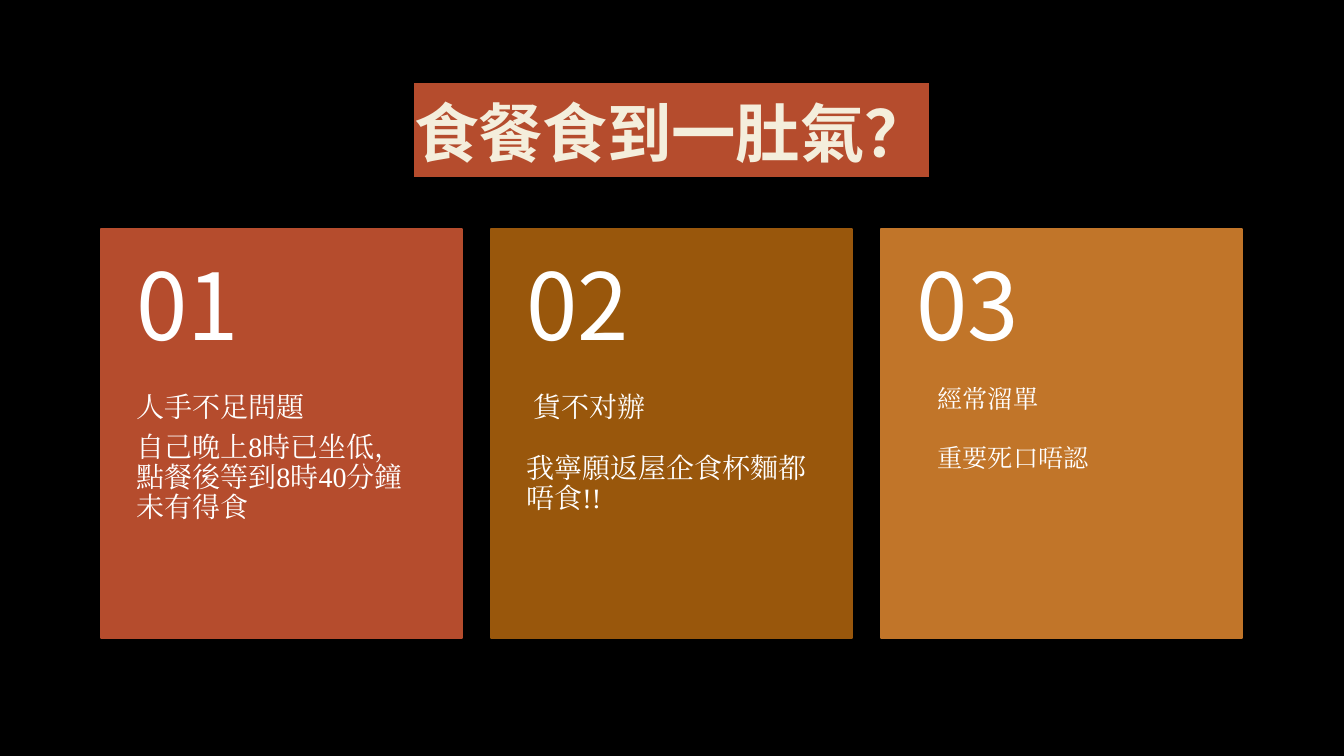
from lxml import etree
from pptx import Presentation
from pptx.dml.color import RGBColor
from pptx.enum import shapes, text
from pptx.oxml import parse_xml
from pptx.oxml.ns import nsdecls, qn
from pptx.util import Inches, Pt

BLACK = RGBColor(0x00, 0x00, 0x00)
WHITE = RGBColor(0xFF, 0xFF, 0xFF)
CREAM = RGBColor(0xF4, 0xEE, 0xDC)
RUST = RGBColor(0xB5, 0x4C, 0x2D)
BROWN = RGBColor(0x99, 0x57, 0x0C)
AMBER = RGBColor(0xC1, 0x75, 0x29)
SANS, SERIF = "Noto Sans CJK TC", "Times New Roman"


def write(frame, lines, asian_font, color, size, **layout):
    """Fill a frame with (wording, Latin font) lines, one paragraph each."""
    for index, (wording, latin_font) in enumerate(lines):
        para = frame.paragraphs[0] if index == 0 else frame.add_paragraph()
        for name, value in layout.items():
            setattr(para, name, value)
        span = para.add_run()
        span.text = wording
        for name, value in {"name": latin_font, "size": Pt(size)}.items():
            setattr(span.font, name, value)
        span.font.color.rgb = color
        asian = etree.SubElement(span.font._element, qn("a:ea"))
        asian.set("typeface", asian_font)


def add_box(page, left, top, width, height, margins, anchor):
    box = page.shapes.add_textbox(Inches(left), Inches(top), Inches(width), Inches(height))
    frame = box.text_frame
    frame.word_wrap = True
    frame.vertical_anchor = anchor
    for side, margin in zip(("left", "top", "right", "bottom"), margins):
        setattr(frame, f"margin_{side}", Inches(margin))
    return frame


deck = Presentation()
deck.slide_width, deck.slide_height = Inches(13.33), Inches(7.5)
page = deck.slides.add_slide(deck.slide_layouts[5])
page.background.fill.solid()
page.background.fill.fore_color.rgb = BLACK

# Title with highlighted, faintly outlined letters
title = page.shapes.title
title.left, title.top, title.width, title.height = map(Inches, (1, 0.67, 11.32, 1.38))
title.text_frame.auto_size = text.MSO_AUTO_SIZE.NONE
title.text_frame.vertical_anchor = text.MSO_ANCHOR.MIDDLE
write(title.text_frame, [("食餐食到一肚氣？", SANS)], SANS, CREAM, 46,
      alignment=text.PP_ALIGN.CENTER, line_spacing=0.9)
title_font = title.text_frame.paragraphs[0].runs[0].font
title_font.bold = True
title_font._element.insert(0, parse_xml(
    f'<a:ln {nsdecls("a")} w="9525"><a:solidFill><a:srgbClr val="404040">'
    '<a:alpha val="10000"/></a:srgbClr></a:solidFill></a:ln>'))
title_font._element.find(qn("a:latin")).addprevious(parse_xml(
    f'<a:highlight {nsdecls("a")}><a:srgbClr val="{RUST}"/></a:highlight>'))

# Three numbered cards: colour, lines, gap after each line in points
CARD_LEFT, CARD_TOP, CARD_WIDTH, CARD_HEIGHT, CARD_STEP = 1, 2.27, 3.58, 4.06, 3.87
cards = [
    (RUST, [("人手不足問題", SERIF),
            ("自己晚上8時已坐低，點餐後等到8時40分鐘未有得食", SERIF)], 7),
    (BROWN, [(" 貨不对辦", SANS), ("我寧願返屋企食杯麵都唔食!!", SERIF)], 22),
    (AMBER, [], 0),
]
for index, (color, lines, gap) in enumerate(cards):
    left = CARD_LEFT + index * CARD_STEP
    card = page.shapes.add_shape(shapes.MSO_SHAPE.RECTANGLE, Inches(left), Inches(CARD_TOP),
                                 Inches(CARD_WIDTH), Inches(CARD_HEIGHT))
    card.shadow.inherit = False
    card.fill.solid()
    card.fill.fore_color.rgb = color
    card.line.color.rgb = color
    card.line.width = Pt(1.25)
    if lines:
        body = add_box(page, left, 3.9, CARD_WIDTH, 2.44, (0.35, 0, 0.35, 0.36),
                       text.MSO_ANCHOR.TOP)
        write(body, lines, SERIF, WHITE, 20, line_spacing=0.9, space_after=Pt(gap))
    number = add_box(page, left, CARD_TOP, CARD_WIDTH, 1.62, (0.35, 0.18, 0.35, 0.18),
                     text.MSO_ANCHOR.MIDDLE)
    write(number, [(f"{index + 1:02}", SANS)], SANS, WHITE, 66,
          line_spacing=0.9, space_after=Pt(23))

# Wording of the third card
note = add_box(page, 9.2, 3.75, 2.59, 1.01, (0.1, 0.05, 0.1, 0.05), text.MSO_ANCHOR.TOP)
note.auto_size = text.MSO_AUTO_SIZE.SHAPE_TO_FIT_TEXT
write(note, [("經常溜單", SERIF), ("重要死口唔認", SERIF)], SERIF, WHITE, 18,
      space_after=Pt(21))

deck.save("out.pptx")
